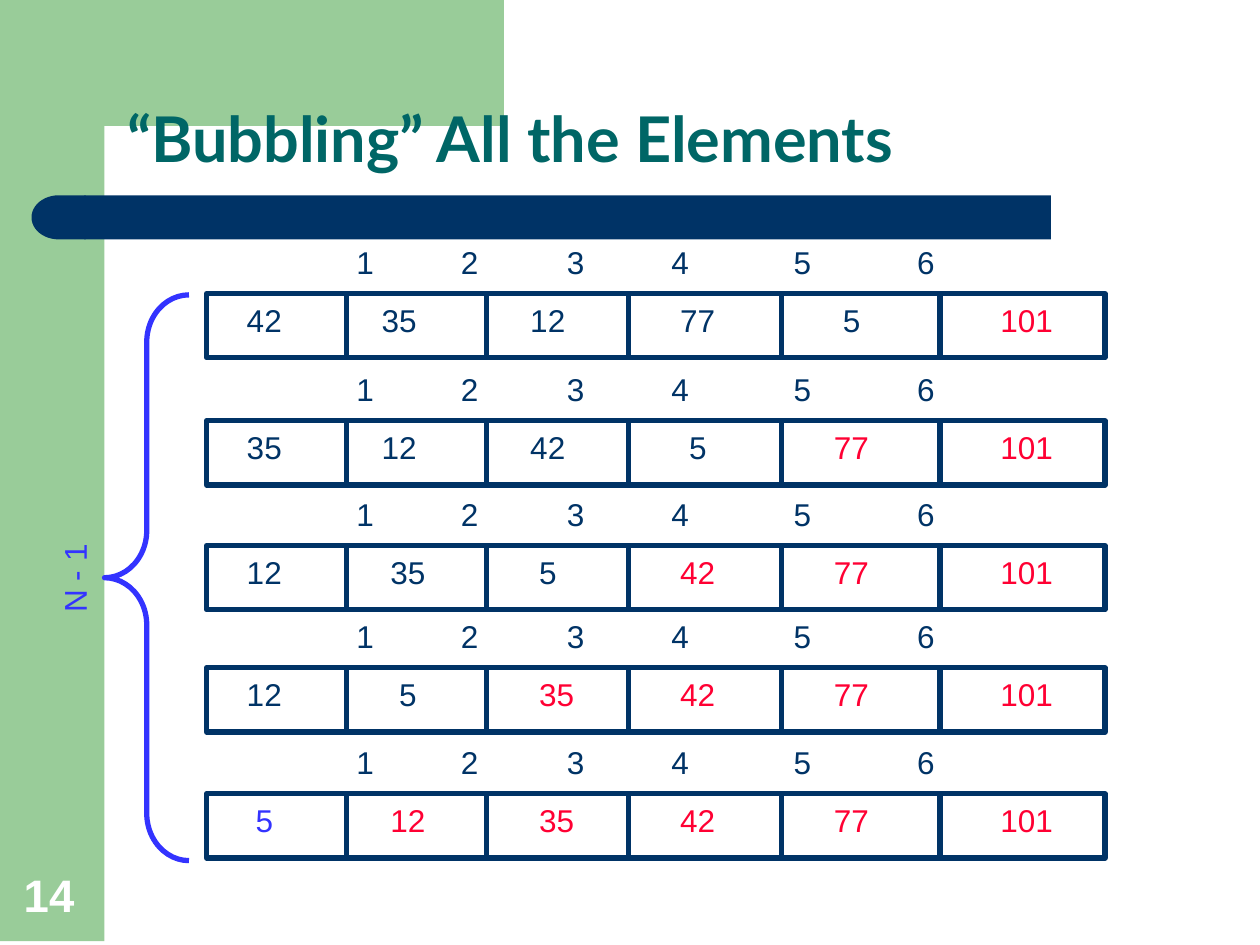
from pptx import Presentation
from pptx.dml.color import RGBColor
from pptx.enum.shapes import MSO_CONNECTOR, MSO_SHAPE
from pptx.enum.text import MSO_ANCHOR, MSO_AUTO_SIZE
from pptx.oxml.ns import qn
from pptx.util import Inches, Pt
from lxml.etree import SubElement

COLORS = {
    "green": "99CC99",
    "navy": "003366",
    "teal": "006666",
    "red": "FF0033",
    "blue": "3333FF",
    "white": "FFFFFF",
}

ROW_TOPS = [2.33, 3.34, 4.33, 5.3, 6.3]
ROW_LEFT, ROW_WIDTH, ROW_HEIGHT = 1.64, 7.13, 0.51
DIVIDERS = [2.75, 3.86, 4.99, 6.2, 7.46]
VALUE_LEFTS = [1.86, 2.93, 4.11, 5.3, 6.45, 7.77]
INDEX_TABS = [0.83, 1.67, 2.5, 3.47, 4.45]
DIGIT_WIDTH, INDENT_STEP, MARGIN = 0.14, 0.07, 0.1
TEXT_HEIGHT = 0.4

PASSES = [
    [42, 35, 12, 77, 5, 101],
    [35, 12, 42, 5, 77, 101],
    [12, 35, 5, 42, 77, 101],
    [12, 5, 35, 42, 77, 101],
    [5, 12, 35, 42, 77, 101],
]
INDENTS = [
    [0, 0, 0, 0, 2, 1],
    [0, 0, 0, 1, 1, 1],
    [0, 1, 1, 0, 1, 1],
    [0, 2, 1, 0, 1, 1],
    [1, 1, 1, 0, 1, 1],
]

CORNER = [
    (3.5, -0.03), (3.5, 0.8), (1.16, 0.81), (1.11, 0.8), (1.03, 0.82),
    (0.98, 0.85), (0.93, 0.89), (0.89, 0.95), (0.86, 1.01), (0.84, 1.07),
    (0.83, 1.13), (0.83, 1.25), (0.5, 1.25), (0.5, -0.03),
]


def write_text(frame, text, font="Arial", size=18, color="navy", bold=False,
               spacing=None, indent=0, tabs=()):
    paragraph = frame.paragraphs[0]
    if spacing:
        paragraph.line_spacing = spacing
    properties = paragraph._p.get_or_add_pPr()
    if indent:
        properties.set("marL", str(Inches(indent)))
        properties.set("indent", "0")
    if tabs:
        tab_list = SubElement(properties, qn("a:tabLst"))
        for position in tabs:
            SubElement(tab_list, qn("a:tab"), pos=str(Inches(position)), algn="l")
    run = paragraph.add_run()
    run.text = text
    run.font.name = font
    run.font.size = Pt(size)
    run.font.bold = bold
    run.font.color.rgb = RGBColor.from_string(COLORS[color])


class SlideBuilder:
    def __init__(self, slide, line_width=3):
        self.slide = slide
        self.shapes = slide.shapes
        self.line_width = line_width

    def start_group(self):
        self.shapes = self.slide.shapes.add_group_shape().shapes

    def end_group(self):
        self.shapes = self.slide.shapes

    def style_line(self, line, color):
        line.color.rgb = RGBColor.from_string(COLORS[color])
        line.width = Pt(self.line_width)

    def style_shape(self, shape, fill, line):
        shape.shadow.inherit = False
        if fill:
            shape.fill.solid()
            shape.fill.fore_color.rgb = RGBColor.from_string(COLORS[fill])
        else:
            shape.fill.background()
        if line:
            self.style_line(shape.line, line)
        else:
            shape.line.fill.background()

    def shape(self, kind, left, top, width, height, fill=None, line=None):
        shape = self.shapes.add_shape(
            kind, Inches(left), Inches(top), Inches(width), Inches(height))
        self.style_shape(shape, fill, line)
        return shape

    def outline(self, points, fill):
        builder = self.shapes.build_freeform(*points[0], scale=Inches(1))
        builder.add_line_segments(points[1:], close=True)
        self.style_shape(builder.convert_to_shape(), fill, None)

    def divider(self, x, top, bottom):
        connector = self.shapes.add_connector(
            MSO_CONNECTOR.STRAIGHT, Inches(x), Inches(top), Inches(x), Inches(bottom))
        self.style_line(connector.line, "navy")
        SubElement(connector._element.spPr, qn("a:effectLst"))

    def text(self, text, left, top, width, height=TEXT_HEIGHT, wrap=True,
             anchor=MSO_ANCHOR.TOP, **text_format):
        box = self.shapes.add_textbox(
            Inches(left), Inches(top), Inches(width), Inches(height))
        frame = box.text_frame
        frame.word_wrap = wrap
        frame.vertical_anchor = anchor
        frame.auto_size = MSO_AUTO_SIZE.NONE if wrap else MSO_AUTO_SIZE.SHAPE_TO_FIT_TEXT
        write_text(frame, text, **text_format)
        return box

    def array_row(self, top, values, indents, sorted_from):
        self.start_group()
        self.shape(MSO_SHAPE.RECTANGLE, ROW_LEFT, top, ROW_WIDTH, ROW_HEIGHT, line="navy")
        for x in DIVIDERS:
            self.divider(x, top, top + ROW_HEIGHT)
        for column, (value, left, steps) in enumerate(zip(values, VALUE_LEFTS, indents)):
            color = "red" if column >= sorted_from else "navy"
            if column == 0 and sorted_from == 1:
                color = "blue"
            indent = steps * INDENT_STEP
            width = 2 * MARGIN + indent + len(str(value)) * DIGIT_WIDTH
            self.text(str(value), left, top + 0.01, width, wrap=False,
                      color=color, indent=indent)
        self.text("\t".join(str(index) for index in range(1, 7)),
                  2.73, top - 0.45, 4.8, tabs=INDEX_TABS)
        self.end_group()


def main():
    presentation = Presentation()
    presentation.slide_width = Inches(10)
    presentation.slide_height = Inches(7.5)
    builder = SlideBuilder(presentation.slides.add_slide(presentation.slide_layouts[6]))

    builder.shape(MSO_SHAPE.RECTANGLE, 0, -0.03, 0.83, 7.5, fill="green")
    builder.outline(CORNER, "green")
    bar = builder.shape(MSO_SHAPE.ROUNDED_RECTANGLE, 0.67, 1.55, 7.67, 0.35, fill="navy")
    bar.adjustments[0] = 0
    bar_end = builder.shape(MSO_SHAPE.FLOWCHART_DELAY, 0.25, 1.55, 0.43, 0.35, fill="navy")
    bar_end.rotation = 180
    builder.text("“Bubbling” All the Elements", 0.91, 0.36, 8.51, 1.09,
                 anchor=MSO_ANCHOR.BOTTOM, font="Lato", size=36, color="teal",
                 bold=True, spacing=0.9)

    for number, (top, values, indents) in enumerate(zip(ROW_TOPS, PASSES, INDENTS)):
        builder.array_row(top, values, indents, sorted_from=5 - number)

    builder.start_group()
    brace = builder.shape(MSO_SHAPE.LEFT_BRACE, 0.83, 2.34, 0.67, 4.49, line="blue")
    brace.adjustments[0] = 0.56
    label = builder.text("N - 1", 0.22, 4.39, 0.74, wrap=False, color="blue")
    label.rotation = 270
    builder.end_group()
    builder.text("14", 0.09, 6.83, 0.64, 0.53, anchor=MSO_ANCHOR.BOTTOM,
                 size=26, color="white", bold=True)

    presentation.save("out.pptx")


if __name__ == "__main__":
    main()
